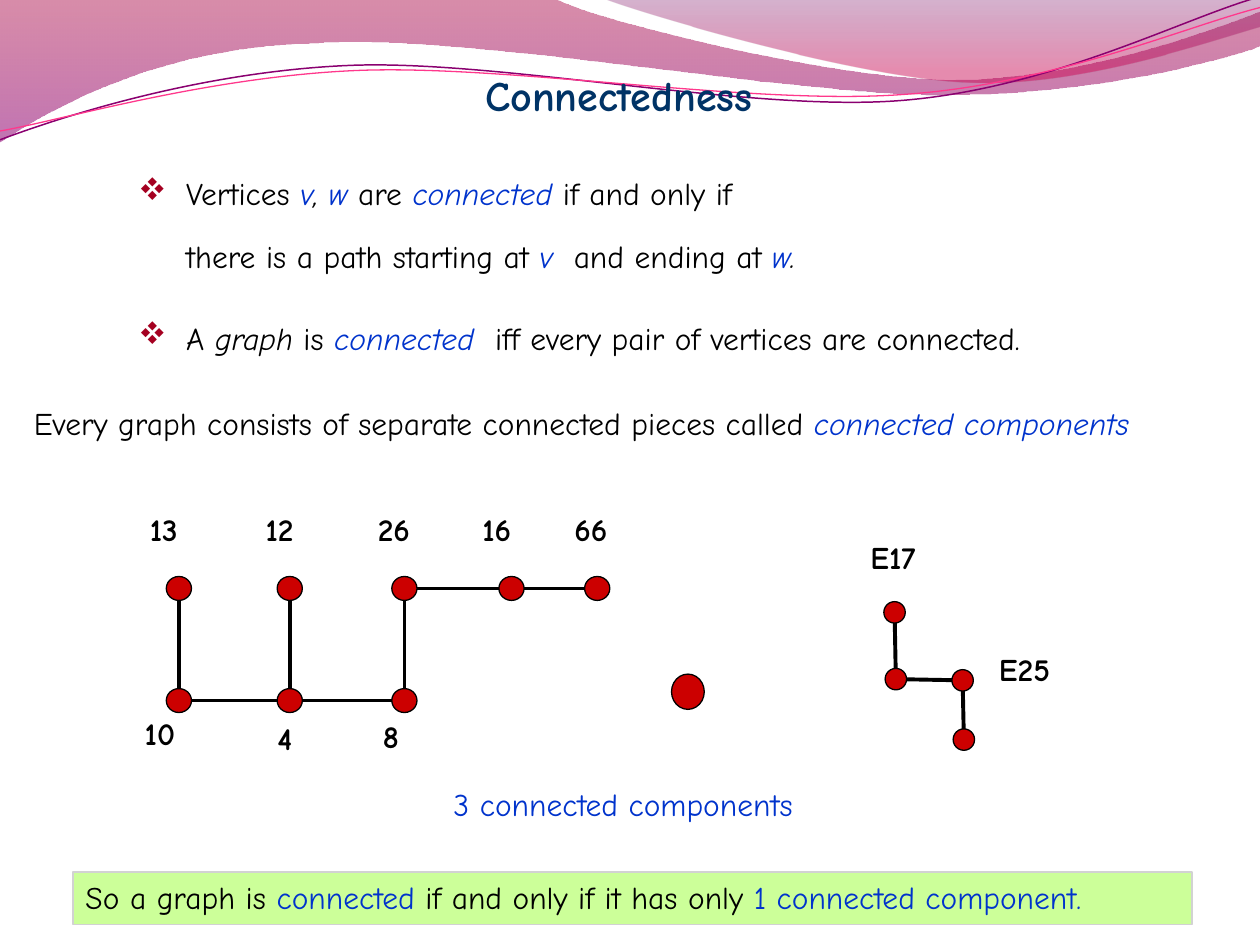
from math import hypot

from lxml import etree
from pptx import Presentation
from pptx.dml.color import RGBColor
from pptx.enum.shapes import MSO_CONNECTOR, MSO_SHAPE
from pptx.enum.text import MSO_ANCHOR, MSO_AUTO_SIZE, PP_ALIGN
from pptx.oxml.ns import qn
from pptx.util import Inches, Pt

OVAL, RECT = MSO_SHAPE.OVAL, MSO_SHAPE.RECTANGLE
STRAIGHT = MSO_CONNECTOR.STRAIGHT
LEFT, CENTER = PP_ALIGN.LEFT, PP_ALIGN.CENTER
TOP = MSO_ANCHOR.TOP
GROW = MSO_AUTO_SIZE.SHAPE_TO_FIT_TEXT

FONT = "Comic Neue"
BLACK, BLUE, NAVY = "000000", "0033CC", "003366"
RED, WINE, LIME, GREY = "CC0000", "A50021", "CCFF99", "D2D2D2"
PLAIN = {"name": FONT, "size": Pt(18), "bold": False, "italic": False}

rgb = RGBColor.from_string


def write(par, *runs, **extra):
    """Add (text, colour, italic) runs; extra overrides the plain font."""
    par.alignment = LEFT
    for text, color, italic in runs:
        run = par.add_run()
        run.text = text
        for key, value in {**PLAIN, "italic": italic, **extra}.items():
            setattr(run.font, key, value)
        run.font.color.rgb = rgb(color)


def add_solid(kind, box, fill, line):
    shape = slide.shapes.add_shape(kind, *map(Inches, box))
    shape.shadow.inherit = False
    shape.fill.solid()
    shape.fill.fore_color.rgb = rgb(fill)
    shape.line.color.rgb = rgb(line)
    shape.line.width = Pt(0.75)
    return shape


prs = Presentation()
prs.slide_width, prs.slide_height = Inches(10), Inches(7.5)
slide = prs.slides.add_slide(prs.slide_layouts[5])

# Waves: a start point, then steps of one point (line) or three (curve)
waves = [
    {"start": (0, 0), "fill": [(0, "A90042", 45), (1, "8E0073", 55)], "steps": [
        [(4.4, -0.01)],
        [(4.76, 0.17), (6.64, 0.63), (7.58, 0.63)],
        [(8.53, 0.63), (9.58, 0.26), (10, 0.09)],
        [(10.01, 0.36)],
        [(9.83, 0.44), (8.7, 0.76), (7.46, 0.75)],
        [(6.22, 0.75), (3.82, 0.28), (2.57, 0.34)],
        [(1.29, 0.36), (0.46, 0.83), (-0.01, 1.13)]]},
    {"start": (4.79, -0.01), "fill": [(0, "73005E", 30), (0.8, "C9004F", 45)], "steps": [
        [(5.09, 0.11), (6.82, 0.62), (7.69, 0.65)],
        [(8.56, 0.69), (9.61, 0.32), (10, 0.21)],
        [(10, 0)]]},
    {"start": (0, 1.11), "line": ("8A0070", 0.85), "steps": [
        [(0.48, 0.93), (1.58, 0.57), (2.77, 0.52)],
        [(3.95, 0.47), (5.93, 0.89), (7.13, 0.8)],
        [(8.33, 0.71), (9.38, 0.15), (9.98, -0.02)]]},
    {"start": (0, 1.04), "line": ("FF388C", 0.75), "steps": [
        [(0.47, 0.96), (1.64, 0.61), (2.83, 0.56)],
        [(4.03, 0.51), (5.97, 0.84), (7.17, 0.75)],
        [(8.36, 0.67), (9.41, 0.21), (10, 0.06)]]},
]
for wave in waves:
    outline = slide.shapes.build_freeform(*map(Inches, wave["start"]))
    outline.add_line_segments([(Inches(x), Inches(y)) for step in wave["steps"] for x, y in step],
                              close="fill" in wave)
    shape = outline.convert_to_shape()
    shape.shadow.inherit = False
    # Each run of three line ends becomes one Bezier curve
    ends = iter(list(shape._element.spPr.iter(qn("a:lnTo"))))
    for step in wave["steps"]:
        group = [next(ends) for _ in step]
        if len(step) == 3:
            curve = etree.Element(qn("a:cubicBezTo"))
            group[0].addprevious(curve)
            for end in group:
                curve.append(end[0])
                end.getparent().remove(end)
    if "fill" in wave:
        shape.fill.gradient()
        shape.fill.gradient_angle = 270
        for stop, (place, color, _) in zip(shape.fill.gradient_stops, wave["fill"]):
            stop.position = place
            stop.color.rgb = rgb(color)
        for node, (_, _, alpha) in zip(shape._element.spPr.iter(qn("a:srgbClr")), wave["fill"]):
            etree.SubElement(node, qn("a:alpha")).set("val", str(alpha * 1000))
        shape.line.fill.background()
    else:
        color, width = wave["line"]
        shape.fill.background()
        shape.line.color.rgb = rgb(color)
        shape.line.width = Pt(width)

# Title, brought in front of the waves
title = slide.shapes.title
slide.shapes._spTree.append(title._element)
title.left, title.top, title.width, title.height = map(Inches, (3.75, 0.5, 2.51, 0.5))
frame = title.text_frame
frame.word_wrap, frame.auto_size, frame.vertical_anchor = False, GROW, TOP
write(frame.paragraphs[0], ("Connectedness", NAVY, False), size=Pt(24), bold=True)

# Definitions: bullet, line spacing, runs
rules = [
    (True, 1, [("Vertices ", BLACK, False), ("v", BLUE, True), (", ", BLACK, True),
               ("w ", BLUE, True), ("are ", BLACK, False), ("connected", BLUE, True),
               (" if and only if", BLACK, False)]),
    (False, 1.5, [("there is a path starting at ", BLACK, False), ("v", BLUE, True),
                  ("  and ending at ", BLACK, False), ("w", BLUE, True), (".", BLACK, True)]),
    (True, 2, [("A ", BLACK, False), ("graph ", BLACK, True), ("is ", BLACK, False),
               ("connected", BLUE, True),
               ("  iff every pair of vertices are connected.", BLACK, False)]),
]
frame = slide.shapes.add_textbox(*map(Inches, (1, 1.33, 8, 1.5))).text_frame
frame.word_wrap = True
for i, (bullet, space, runs) in enumerate(rules):
    par = frame.add_paragraph() if i else frame.paragraphs[0]
    par.line_spacing = space
    if i:
        par.space_before = Pt(3.6)
    props = par._p.get_or_add_pPr()
    props.set("marL", str(Inches(0.38)))
    props.set("indent", str(Inches(-0.38) if bullet else 0))
    if bullet:
        tint = etree.SubElement(props, qn("a:buClr"))
        etree.SubElement(tint, qn("a:srgbClr")).set("val", WINE)
        etree.SubElement(props, qn("a:buFont")).set("typeface", "Wingdings")
        etree.SubElement(props, qn("a:buChar")).set("char", "v")
    write(par, *runs)

frame = slide.shapes.add_textbox(*map(Inches, (0.17, 3.16, 9.67, 0.42))).text_frame
frame.word_wrap = True
write(frame.paragraphs[0],
      ("Every graph consists of separate connected pieces called ", BLACK, False),
      ("connected components", BLUE, True))

# Graph pieces: node centres, node size, edges, edge width
pieces = [
    ({"lone": (5.46, 5.49)}, (0.26, 0.28), [], 2),
    ({"E17": (7.1, 4.86), "turn": (7.11, 5.39), "E25": (7.64, 5.4), "end": (7.65, 5.87)},
     (0.17, 0.17),
     [("E17", "turn"), ("turn", "E25"), ("E25", "end")], 2.25),
    ({"13": (1.42, 4.67), "12": (2.3, 4.67), "26": (3.21, 4.67), "16": (4.06, 4.67),
      "66": (4.74, 4.67), "10": (1.42, 5.56), "4": (2.3, 5.56), "8": (3.21, 5.56)},
     (0.2, 0.19),
     [("13", "10"), ("10", "4"), ("12", "4"), ("4", "8"), ("26", "8"),
      ("26", "16"), ("16", "66")], 2),
]
for nodes, (wide, high), edges, width in pieces:
    for x, y in nodes.values():
        add_solid(OVAL, (x - wide / 2, y - high / 2, wide, high), RED, BLACK)
    for start, end in edges:
        (x1, y1), (x2, y2) = nodes[start], nodes[end]
        span = hypot(x2 - x1, y2 - y1)
        dx, dy = (x2 - x1) / span * wide / 2, (y2 - y1) / span * high / 2
        edge = slide.shapes.add_connector(
            STRAIGHT, *map(Inches, (x1 + dx, y1 + dy, x2 - dx, y2 - dy)))
        edge.line.color.rgb = rgb(BLACK)
        edge.line.width = Pt(width)
        etree.SubElement(edge._element.spPr, qn("a:effectLst"))

# Labels: text, left, top, width, colour
labels = [
    ("E25", 7.83, 5.11, 0.66, BLACK), ("E17", 6.81, 4.22, 0.66, BLACK),
    ("13", 1.09, 4, 0.51, BLACK), ("10", 1.05, 5.62, 0.51, BLACK), ("12", 2.01, 4, 0.51, BLACK),
    ("26", 2.9, 4, 0.51, BLACK), ("8", 2.94, 5.64, 0.36, BLACK),
    ("16", 3.73, 4, 0.51, BLACK), ("66", 4.46, 4, 0.51, BLACK),
    ("4", 0.12, 5.66, 4.28, BLACK),
    ("3 connected components", 3.5, 6.18, 3.05, BLUE),
]
for text, left, top, width, color in labels:
    frame = slide.shapes.add_textbox(*map(Inches, (left, top, width, 0.4))).text_frame
    wide = width > 4
    frame.word_wrap, frame.auto_size = wide, GROW
    write(frame.paragraphs[0], (text, color, False), bold=color == BLACK)
    if wide:
        frame.paragraphs[0].alignment = CENTER

frame = add_solid(RECT, (0.58, 6.92, 8.88, 0.42), LIME, GREY).text_frame
frame.word_wrap, frame.vertical_anchor = True, TOP
write(frame.paragraphs[0],
      ("So a graph is ", BLACK, False), ("connected ", BLUE, False),
      ("if and only if it has only ", BLACK, False),
      ("1 connected component.", BLUE, False))

prs.save("out.pptx")
